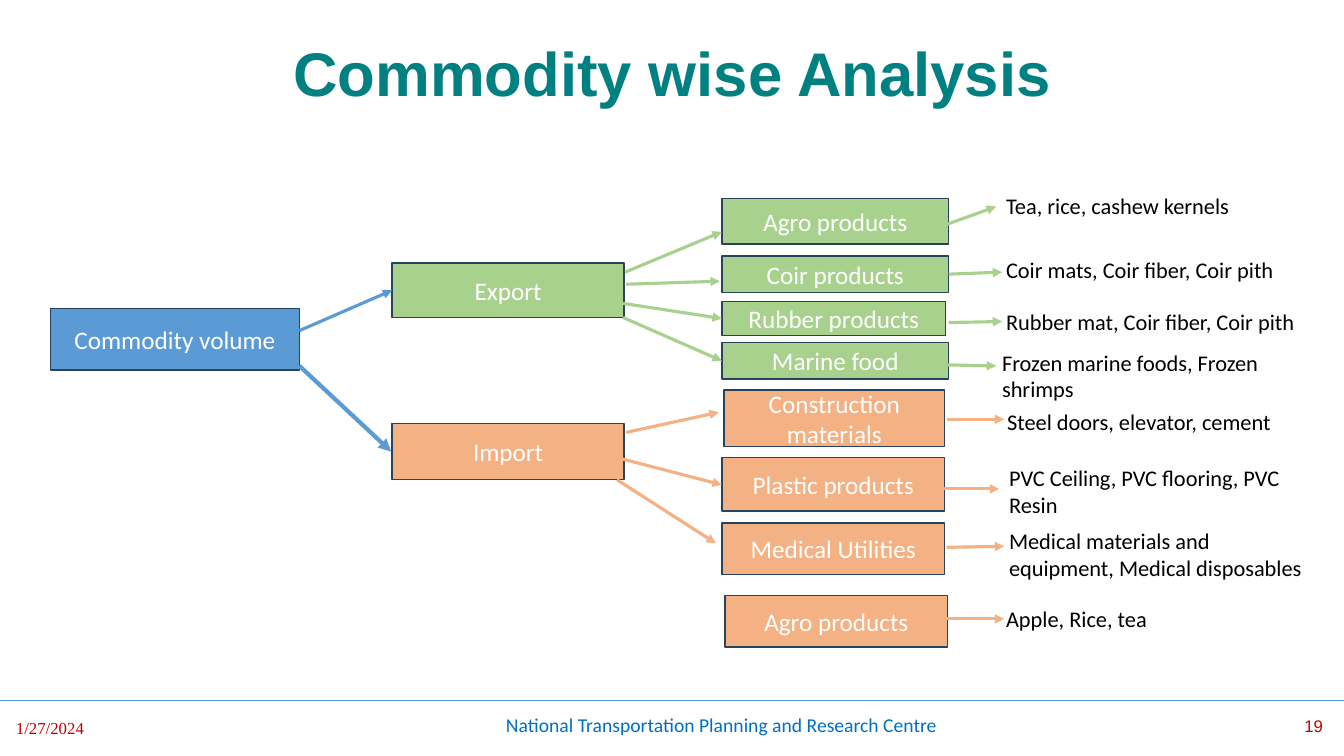
"""Build the commodity analysis slide: a tree from volume to trade, product and examples."""
import pptx
import pptx.util
import pptx.dml.color
import pptx.enum.shapes
import pptx.enum.text
import pptx.oxml
import pptx.oxml.ns

SLIDE_WIDTH, SLIDE_HEIGHT = 13.33, 7.5
COLORS = {
    "volume": "5B9BD5", "export": "A9D18E", "import": "F4B183", "outline": "28445D",
    "title": "008080", "centre": "0070C0", "stamp": "C00000", "white": "FFFFFF", "black": "000000",
}
TITLE = "Commodity wise Analysis"
TITLE_AREA = (0.92, 0.03, 11.5, 1.45)
RULE_Y = 6.95
TRADE_LEFT, TRADE_WIDTH = 3.89, 2.3
ONE_LINE, TWO_LINES = 0.38, 0.66
ALIGN = pptx.enum.text.PP_ALIGN
ANCHOR = pptx.enum.text.MSO_ANCHOR

# columns: text, kind, area
TREE_HEADS = [
    ("Commodity volume", "volume", (0.5, 3.06, 2.47, 0.61)),
    ("Export", "export", (TRADE_LEFT, 2.61, TRADE_WIDTH, 0.54)),
    ("Import", "import", (TRADE_LEFT, 4.2, TRADE_WIDTH, 0.56)),
]
# columns: product, kind, area, examples, examples area
PRODUCTS = [
    ("Agro products", "export", (7.16, 1.97, 2.25, 0.45),
     "Tea, rice, cashew kernels", (9.88, 1.86, 2.95, ONE_LINE)),
    ("Coir products", "export", (7.16, 2.54, 2.25, 0.36),
     "Coir mats, Coir fiber, Coir pith", (9.88, 2.49, 3.09, ONE_LINE)),
    ("Rubber products", "export", (7.16, 2.99, 2.22, 0.34),
     "Rubber mat, Coir fiber, Coir pith", (9.88, 3.01, 3.09, ONE_LINE)),
    ("Marine food", "export", (7.16, 3.4, 2.25, 0.36),
     "Frozen marine foods, Frozen shrimps", (9.84, 3.41, 3.33, TWO_LINES)),
    ("Construction materials", "import", (7.18, 3.87, 2.19, 0.56),
     "Steel doors, elevator, cement", (9.89, 4, 3.09, ONE_LINE)),
    ("Plastic products", "import", (7.16, 4.54, 2.21, 0.53),
     "PVC Ceiling, PVC flooring, PVC Resin", (9.91, 4.56, 3.09, TWO_LINES)),
    ("Medical Utilities", "import", (7.16, 5.19, 2.21, 0.51),
     "Medical materials and equipment, Medical disposables", (9.91, 5.18, 3.26, TWO_LINES)),
    ("Agro products", "import", (7.19, 5.91, 2.21, 0.51),
     "Apple, Rice, tea", (9.88, 5.95, 3.09, ONE_LINE)),
]
# columns: start x, start y, end x, end y
ARROWS = {
    "volume": [(2.97, 3.28, 3.89, 2.88), (2.97, 3.63, 3.88, 4.48)],
    "export": [
        (6.2, 2.7, 7.16, 2.3), (6.21, 2.82, 7.14, 2.79),
        (6.18, 3.01, 7.16, 3.16), (6.18, 3.15, 7.16, 3.58),
        (9.35, 2.24, 9.88, 2.05), (9.41, 2.72, 9.94, 2.7),
        (9.41, 3.2, 9.94, 3.19), (9.37, 3.62, 9.88, 3.63),
    ],
    "import": [
        (6.21, 4.29, 7.13, 4.09), (6.12, 4.54, 7.16, 4.81), (6.12, 4.76, 7.1, 5.39),
        (9.39, 4.16, 9.96, 4.16), (9.33, 4.85, 9.91, 4.85),
        (9.39, 5.43, 9.96, 5.42), (9.39, 6.14, 9.96, 6.14),
    ],
}
# columns: text, area, size, font, color, alignment
FOOTER = [
    ("1/27/2024", (0.06, 7.07, 1.37, 0.4), 12, "Times New Roman", "stamp", ALIGN.LEFT),
    ("National Transportation Planning and Research Centre", (4.92, 7.02, 5.92, 0.4),
     14, "Calibri", "centre", ALIGN.LEFT),
    ("19", (10.22, 7.05, 3, 0.4), 12, "Arial", "stamp", ALIGN.RIGHT),
]


def inches(lengths):
    return [pptx.util.Inches(length) for length in lengths]


def rgb(name):
    return pptx.dml.color.RGBColor.from_string(COLORS[name])


def write(shape, text, size, font, color, align, anchor=ANCHOR.TOP, bold=False):
    frame = shape.text_frame
    frame.word_wrap = True
    frame.vertical_anchor = anchor
    paragraph = frame.paragraphs[0]
    paragraph.alignment = align
    run = paragraph.add_run()
    run.text = text
    run.font.size = pptx.util.Pt(size)
    run.font.name = font
    run.font.bold = bold
    run.font.color.rgb = rgb(color)
    return paragraph


def add_box(slide, text, kind, area):
    box = slide.shapes.add_shape(pptx.enum.shapes.MSO_SHAPE.RECTANGLE, *inches(area))
    box.shadow.inherit = False
    box.fill.solid()
    box.fill.fore_color.rgb = rgb(kind)
    box.line.color.rgb = rgb("outline")
    box.line.width = pptx.util.Pt(1)
    write(box, text, 18, "Calibri", "white", ALIGN.CENTER, ANCHOR.MIDDLE)


def add_text(slide, text, area, size, font, color, align):
    label = slide.shapes.add_textbox(*inches(area))
    write(label, text, size, font, color, align)
    return label


def add_line(slide, ends, color, width, arrow=True):
    line = slide.shapes.add_connector(pptx.enum.shapes.MSO_CONNECTOR.STRAIGHT, *inches(ends))
    line.line.color.rgb = rgb(color)
    line.line.width = pptx.util.Pt(width)
    if arrow:
        head = pptx.oxml.parse_xml(f'<a:tailEnd {pptx.oxml.ns.nsdecls("a")} type="triangle"/>')
        line.line._get_or_add_ln().append(head)
    effects = pptx.oxml.parse_xml(f'<a:effectLst {pptx.oxml.ns.nsdecls("a")}/>')
    line._element.spPr.append(effects)


def main():
    deck = pptx.Presentation()
    deck.slide_width, deck.slide_height = inches((SLIDE_WIDTH, SLIDE_HEIGHT))
    slide = deck.slides.add_slide(deck.slide_layouts[5])

    title = slide.shapes.title
    title.left, title.top, title.width, title.height = inches(TITLE_AREA)
    heading = write(title, TITLE, 44, "Arial", "title", ALIGN.CENTER, ANCHOR.MIDDLE, bold=True)
    heading.line_spacing = 0.9

    add_line(slide, (0, RULE_Y, SLIDE_WIDTH, RULE_Y), "volume", 0.5, arrow=False)
    for footer_part in FOOTER:
        add_text(slide, *footer_part)

    for text, kind, area in TREE_HEADS:
        add_box(slide, text, kind, area)
    for product, kind, area, examples, examples_area in PRODUCTS:
        add_box(slide, product, kind, area)
        note = add_text(slide, examples, examples_area, 16, "Calibri", "black", ALIGN.LEFT)
        note.text_frame.auto_size = pptx.enum.text.MSO_AUTO_SIZE.SHAPE_TO_FIT_TEXT

    to_import = ARROWS["volume"][-1]
    for kind, arrows in ARROWS.items():
        for ends in arrows:
            add_line(slide, ends, kind, 3 if ends == to_import else 2.25)

    deck.save("out.pptx")


if __name__ == "__main__":
    main()
